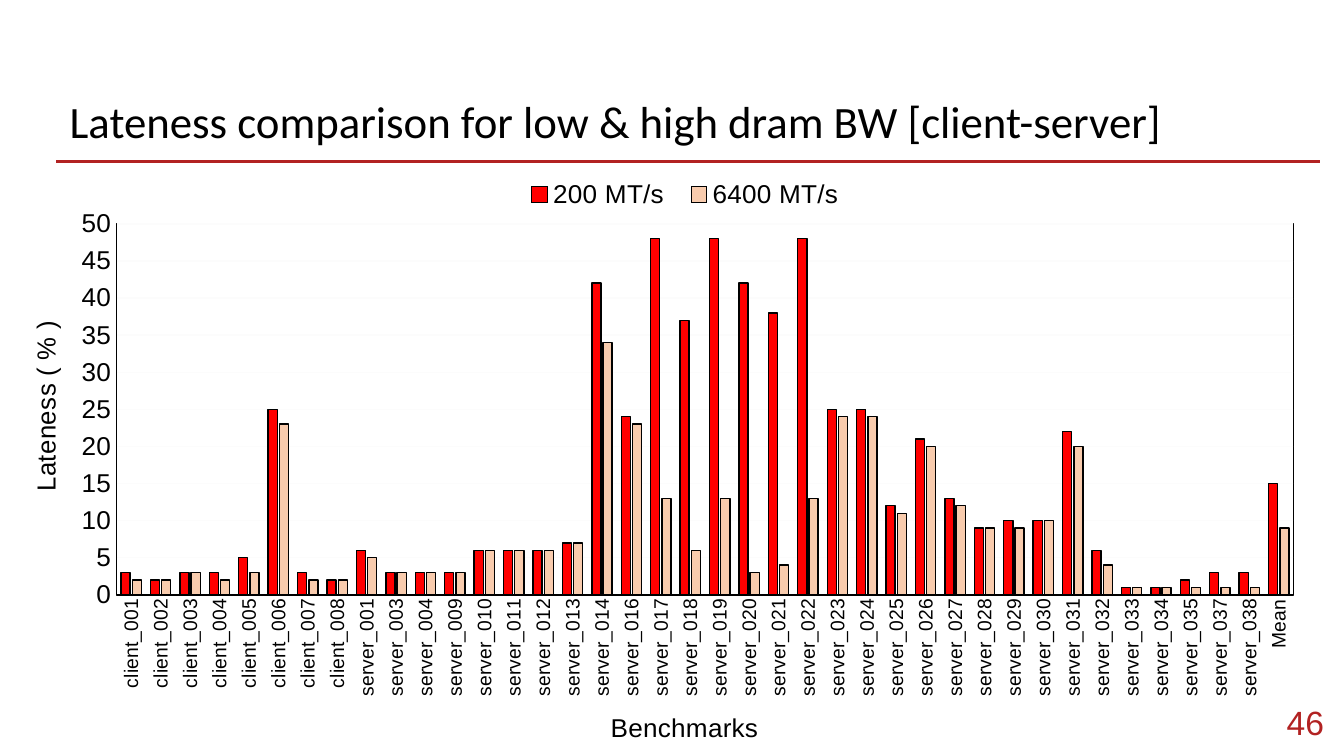
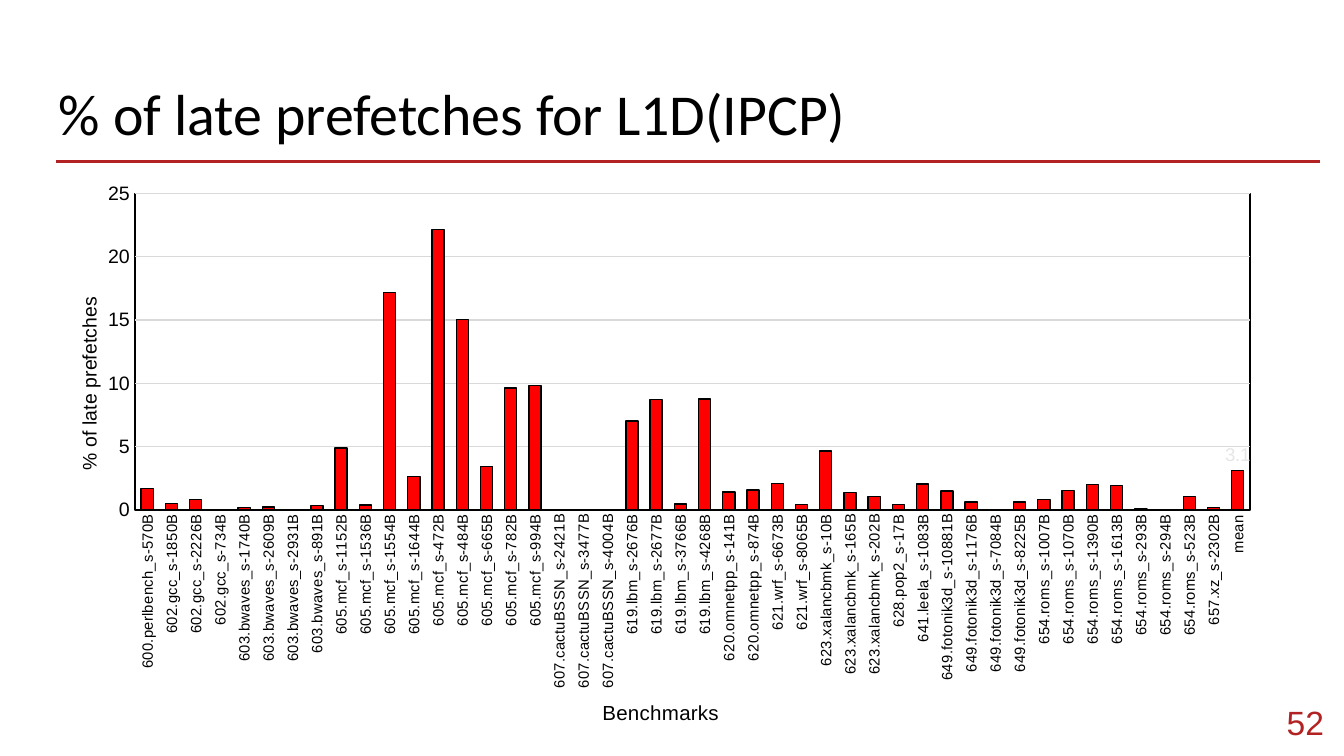
from lxml import etree
from pptx import Presentation
from pptx.chart.data import CategoryChartData
from pptx.dml.color import RGBColor
from pptx.enum.chart import XL_CHART_TYPE, XL_LABEL_POSITION, XL_LEGEND_POSITION, XL_TICK_MARK
from pptx.enum.shapes import MSO_CONNECTOR
from pptx.enum.text import MSO_ANCHOR, PP_ALIGN
from pptx.oxml.ns import qn
from pptx.util import Emu, Pt

COLUMNS = XL_CHART_TYPE.COLUMN_CLUSTERED
OUTSIDE_END = XL_LABEL_POSITION.OUTSIDE_END
LEGEND_TOP = XL_LEGEND_POSITION.TOP
NO_TICK = XL_TICK_MARK.NONE
STRAIGHT = MSO_CONNECTOR.STRAIGHT
TOP, MIDDLE = MSO_ANCHOR.TOP, MSO_ANCHOR.MIDDLE
LEFT, RIGHT = PP_ALIGN.LEFT, PP_ALIGN.RIGHT

EMU_PER_PX = 4572  # 200 px to the inch
BLACK, BRICK, RED, PEACH = "000000", "B22222", "FF0000", "F8CBAD"
UPRIGHT = "-5400000"


def px(length):
    return Emu(length * EMU_PER_PX)


def rgb(color):
    return RGBColor.from_string(color)


def set_font(font, size, color=BLACK, name="Arial"):
    values = {"size": Pt(size), "name": name, "bold": False}
    for key, value in values.items():
        setattr(font, key, value)
    font.color.rgb = rgb(color)


def set_line(line, color, width=0.75):
    line.color.rgb = rgb(color)
    line.width = Pt(width)


def add_element(parent, tag, **attributes):
    return etree.SubElement(parent, qn(tag), attributes)


def place(element, x, y, w=None, h=None, inner=False):
    """Give a chart part a fixed place, in fractions of the chart."""
    old = element.find(qn("c:layout"))
    if old is not None:
        element.remove(old)
    layout = etree.Element(qn("c:layout"))
    manual = add_element(layout, "c:manualLayout")
    if inner:
        add_element(manual, "c:layoutTarget", val="inner")
    for mode in ("xMode", "yMode"):
        add_element(manual, f"c:{mode}", val="edge")
    for key, value in {"x": x, "y": y, "w": w, "h": h}.items():
        if value is not None:
            add_element(manual, f"c:{key}", val=str(value))
    overlay = element.find(qn("c:overlay"))
    if overlay is None:
        element.insert(0, layout)
    else:
        overlay.addprevious(layout)


class Deck:
    def __init__(self):
        self.file = Presentation()
        self.file.slide_width, self.file.slide_height = px(2000), px(1125)
        self.page = None

    def add_page(self, number):
        self.page = self.file.slides.add_slide(self.file.slide_layouts[6])
        self.rule(84, 240, 1964, 240)
        self.text(str(number), (1850, 1032, 140, 86), 18, BRICK, "Arial", RIGHT, MIDDLE)

    def rule(self, x1, y1, x2, y2):
        line = self.page.shapes.add_connector(STRAIGHT, px(x1), px(y1), px(x2), px(y2))
        set_line(line.line, BRICK, 1.5)
        add_element(line.element.spPr, "a:effectLst")

    def text(self, words, area, size, color=BLACK, font="Calibri", align=LEFT, anchor=TOP):
        box = self.page.shapes.add_textbox(*map(px, area))
        frame = box.text_frame
        frame.word_wrap = True
        frame.vertical_anchor = anchor
        for side in ("left", "right", "top", "bottom"):
            setattr(frame, f"margin_{side}", px(20))
        para = frame.paragraphs[0]
        para.alignment = align
        span = para.add_run()
        span.text = words
        set_font(span.font, size, color, font)

    def axis(self, axis, label_size, title, title_size, title_place, upright):
        axis.major_tick_mark = axis.minor_tick_mark = NO_TICK
        set_font(axis.tick_labels.font, label_size)
        heading = axis.axis_title
        span = heading.text_frame.paragraphs[0].add_run()
        span.text = title
        set_font(span.font, title_size)
        if upright:
            next(heading.element.iter(qn("a:bodyPr"))).set("rot", UPRIGHT)
        place(heading.element, *title_place)

    def columns(self, area, categories, series, plot_place, grid, top, category, value):
        """Draw a column chart; series holds (name, values, color)."""
        data = CategoryChartData()
        data.categories = categories
        for name, values, _ in series:
            data.add_series(name, values)
        chart = self.page.shapes.add_chart(COLUMNS, *map(px, area), data).chart
        set_font(chart.font, 10)
        chart.has_title = chart.has_legend = False
        plot = chart.plots[0]
        plot.gap_width, plot.overlap, plot.vary_by_categories = 100, -24, False
        for bars, (_, _, color) in zip(plot.series, series):
            bars.format.fill.solid()
            bars.format.fill.fore_color.rgb = rgb(color)
            set_line(bars.format.line, BLACK)

        self.axis(chart.category_axis, *category, upright=False)
        set_line(chart.category_axis.format.line, BLACK)
        labels = chart.element.find(f".//{qn('c:catAx')}/{qn('c:txPr')}/{qn('a:bodyPr')}")
        labels.set("rot", UPRIGHT)
        labels.set("vert", "horz")

        scale = chart.value_axis
        self.axis(scale, *value, upright=True)
        scale.minimum_scale, scale.maximum_scale, scale.major_unit = 0, top, 5
        scale.tick_labels.number_format = "0"
        scale.tick_labels.number_format_is_linked = False
        scale.format.line.fill.background()
        set_line(scale.major_gridlines.format.line, grid)

        plot_area = chart.element.find(f".//{qn('c:plotArea')}")
        place(plot_area, *plot_place, inner=True)
        frame = add_element(plot_area, "c:spPr")
        add_element(frame, "a:noFill")
        border = add_element(frame, "a:ln", w=str(Pt(0.75)))
        add_element(add_element(border, "a:solidFill"), "a:srgbClr", val=BLACK)
        return chart

    def legend(self, chart, size, *where):
        chart.has_legend = True
        chart.legend.position = LEGEND_TOP
        chart.legend.include_in_layout = False
        set_font(chart.legend.font, size)
        place(chart.element.find(f".//{qn('c:legend')}"), *where)

    def point_label(self, chart, index, size, color):
        bars = chart.plots[0].series[0]
        label = bars.points[index].data_label
        set_font(label.font, size, color)
        label.position = OUTSIDE_END
        bars.data_labels.show_value = False


SERVERS = [1, 3, 4, *range(9, 15), *range(16, 36), 37, 38]
CLIENT_SERVER = [
    *(f"client_{n:03}" for n in range(1, 9)),
    *(f"server_{n:03}" for n in SERVERS),
    "Mean",
]
LATENESS_LOW = [
    3, 2, 3, 3, 5, 25, 3, 2, 6, 3, 3, 3, 6, 6, 6, 7, 42, 24, 48, 37,
    48, 42, 38, 48, 25, 25, 12, 21, 13, 9, 10, 10, 22, 6, 1, 1, 2, 3, 3, 15,
]
LATENESS_HIGH = [
    2, 2, 3, 2, 3, 23, 2, 2, 5, 3, 3, 3, 6, 6, 6, 7, 34, 23, 13, 6,
    13, 3, 4, 13, 24, 24, 11, 20, 12, 9, 9, 10, 20, 4, 1, 1, 1, 1, 1, 9,
]

# Each benchmark maps its trace numbers to the share of late prefetches.
LATE_PREFETCHES = {
    "600.perlbench": {570: 1.7},
    "602.gcc": {1850: 0.5, 2226: 0.81, 734: 0.03},
    "603.bwaves": {1740: 0.21, 2609: 0.22, 2931: 0, 891: 0.33},
    "605.mcf": {1152: 4.89, 1536: 0.38, 1554: 17.15, 1644: 2.62, 472: 22.12,
                484: 15.05, 665: 3.44, 782: 9.63, 994: 9.83},
    "607.cactuBSSN": {2421: 0.01, 3477: 0, 4004: 0},
    "619.lbm": {2676: 7.02, 2677: 8.71, 3766: 0.48, 4268: 8.77},
    "620.omnetpp": {141: 1.41, 874: 1.58},
    "621.wrf": {6673: 2.09, 8065: 0.42},
    "623.xalancbmk": {10: 4.64, 165: 1.37, 202: 1.05},
    "628.pop2": {17: 0.42},
    "641.leela": {1083: 2.04},
    "649.fotonik3d": {10881: 1.49, 1176: 0.63, 7084: 0.02, 8225: 0.63},
    "654.roms": {1007: 0.82, 1070: 1.53, 1390: 2.03, 1613: 1.91,
                 293: 0.08, 294: 0.04, 523: 1.04},
    "657.xz": {2302: 0.21},
}


def lateness_page(deck):
    deck.add_page(46)
    chart = deck.columns(
        (16, 228, 1968, 890), CLIENT_SERVER,
        [("200 MT/s", LATENESS_LOW, RED), ("6400 MT/s", LATENESS_HIGH, PEACH)],
        plot_place=(0.08, 0.12, 0.89, 0.63), grid="FCFCFC", top=50,
        category=(10.5, "Benchmarks", 14, (0.45, 0.94)),
        value=(14, "Lateness ( % )", 14, (0.01, 0.28)),
    )
    deck.legend(chart, 14, 0.38, 0.04, 0.26, 0.06)
    deck.text("Lateness comparison for low & high dram BW [client-server]",
              (84, 120, 1864, 126), 24)


def late_prefetch_page(deck):
    deck.add_page(52)
    deck.text("% of late prefetches for L1D(IPCP)", (68, 96, 1864, 126), 31)
    traces = {
        f"{benchmark}_s-{number}B": share
        for benchmark, shares in LATE_PREFETCHES.items()
        for number, share in shares.items()
    }
    traces["mean"] = 3.1
    chart = deck.columns(
        (52, 190, 1864, 898), list(traces), [("Series 1", list(traces.values()), RED)],
        plot_place=(0.08, 0.11, 0.89, 0.53), grid="D9D9D9", top=25,
        category=(8, "Benchmarks", 11, (0.45, 0.95)),
        value=(10.5, "% of late prefetches", 10.5, (0.03, 0.28)),
    )
    deck.point_label(chart, len(traces) - 1, 10, "E7E6E6")


def main():
    deck = Deck()
    lateness_page(deck)
    late_prefetch_page(deck)
    deck.file.save("out.pptx")


if __name__ == "__main__":
    main()
